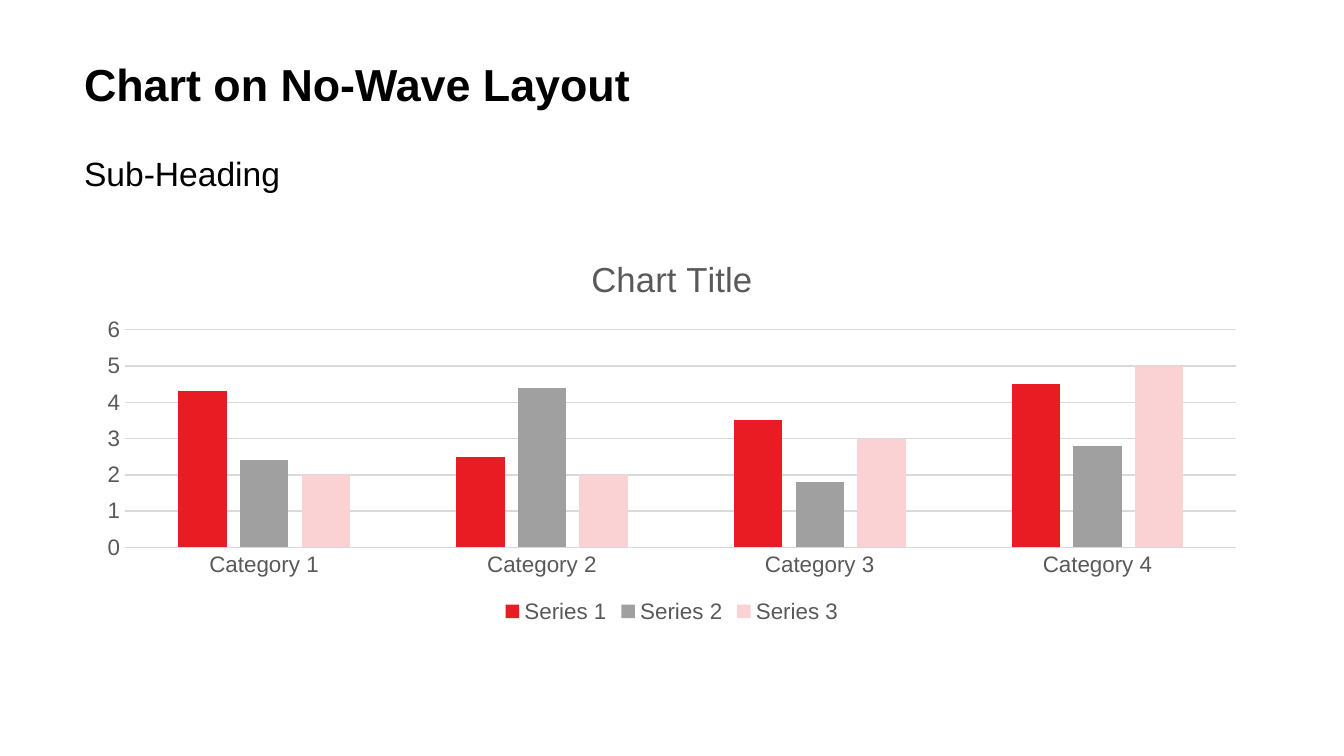
from pptx import Presentation
from pptx.chart.data import CategoryChartData
from pptx.dml.color import RGBColor
from pptx.enum.chart import XL_CHART_TYPE as ChartType
from pptx.enum.chart import XL_LEGEND_POSITION as LegendPosition
from pptx.enum.chart import XL_TICK_MARK as TickMark
from pptx.enum.text import MSO_ANCHOR as Anchor
from pptx.util import Inches, Pt

BLACK = RGBColor(0x00, 0x00, 0x00)
GREY_TEXT = RGBColor(0x59, 0x59, 0x59)
GRID_GREY = RGBColor(0xD9, 0xD9, 0xD9)
RED = RGBColor(0xE9, 0x1C, 0x24)
GREY = RGBColor(0xA0, 0xA0, 0xA0)
PINK = RGBColor(0xFB, 0xD2, 0xD3)
FONT = "Arial"


def style_font(font, size, color, bold=False):
    font.name = FONT
    font.size = Pt(size)
    font.bold = bold
    font.color.rgb = color


# Widescreen page, 16 by 9, divided into 16 columns and 12 rows
deck = Presentation()
deck.slide_width = Inches(10)
deck.slide_height = Inches(10 * 9 / 16)
page = deck.slides.add_slide(deck.slide_layouts[6])
column = deck.slide_width / 16
row = deck.slide_height / 12
left, width = int(column), int(14 * column)

# Title and sub-heading
headings = [
    ("Chart on No-Wave Layout", 1, 1.5, 24, True),
    ("Sub-Heading", 2.5, 1, 18, False),
]
for text, top, height, size, bold in headings:
    box = page.shapes.add_textbox(left, int(top * row), width, int(height * row))
    frame = box.text_frame
    frame.word_wrap = True
    frame.vertical_anchor = Anchor.TOP
    frame.margin_left = frame.margin_right = 0
    frame.margin_top = frame.margin_bottom = 0
    para = frame.paragraphs[0]
    para.line_spacing = 0.9
    span = para.add_run()
    span.text = text
    style_font(span.font, size, BLACK, bold)

# Chart data
series_rows = [
    ("Series 1", (4.3, 2.5, 3.5, 4.5), RED),
    ("Series 2", (2.4, 4.4, 1.8, 2.8), GREY),
    ("Series 3", (2, 2, 3, 5), PINK),
]
data = CategoryChartData()
data.categories = [f"Category {number}" for number in range(1, 5)]
for name, values, color in series_rows:
    data.add_series(name, values)

# Clustered columns
chart = page.shapes.add_chart(
    ChartType.COLUMN_CLUSTERED,
    left, int(3.73 * row), width, int(6.25 * row), data,
).chart
style_font(chart.font, 10, BLACK)
plot = chart.plots[0]
plot.gap_width = 219
plot.overlap = -27
plot.vary_by_categories = False
for series, (name, values, color) in zip(plot.series, series_rows):
    series.format.fill.solid()
    series.format.fill.fore_color.rgb = color
    series.invert_if_negative = False

# Chart title
chart.has_title = True
chart.chart_title.include_in_layout = False
span = chart.chart_title.text_frame.paragraphs[0].add_run()
span.text = "Chart Title"
style_font(span.font, 18.6, GREY_TEXT)

# Axes and gridlines
for axis in (chart.category_axis, chart.value_axis):
    axis.major_tick_mark = axis.minor_tick_mark = TickMark.NONE
    style_font(axis.tick_labels.font, 12, GREY_TEXT)
value_axis = chart.value_axis
value_axis.minimum_scale, value_axis.maximum_scale = 0, 6
value_axis.major_unit = 1
value_axis.has_major_gridlines = True
value_axis.format.line.fill.background()
for line in (chart.category_axis.format.line, value_axis.major_gridlines.format.line):
    line.color.rgb = GRID_GREY
    line.width = Pt(0.75)

# Legend
chart.has_legend = True
chart.legend.position = LegendPosition.BOTTOM
chart.legend.include_in_layout = False
style_font(chart.legend.font, 12, GREY_TEXT)

deck.save("out.pptx")
